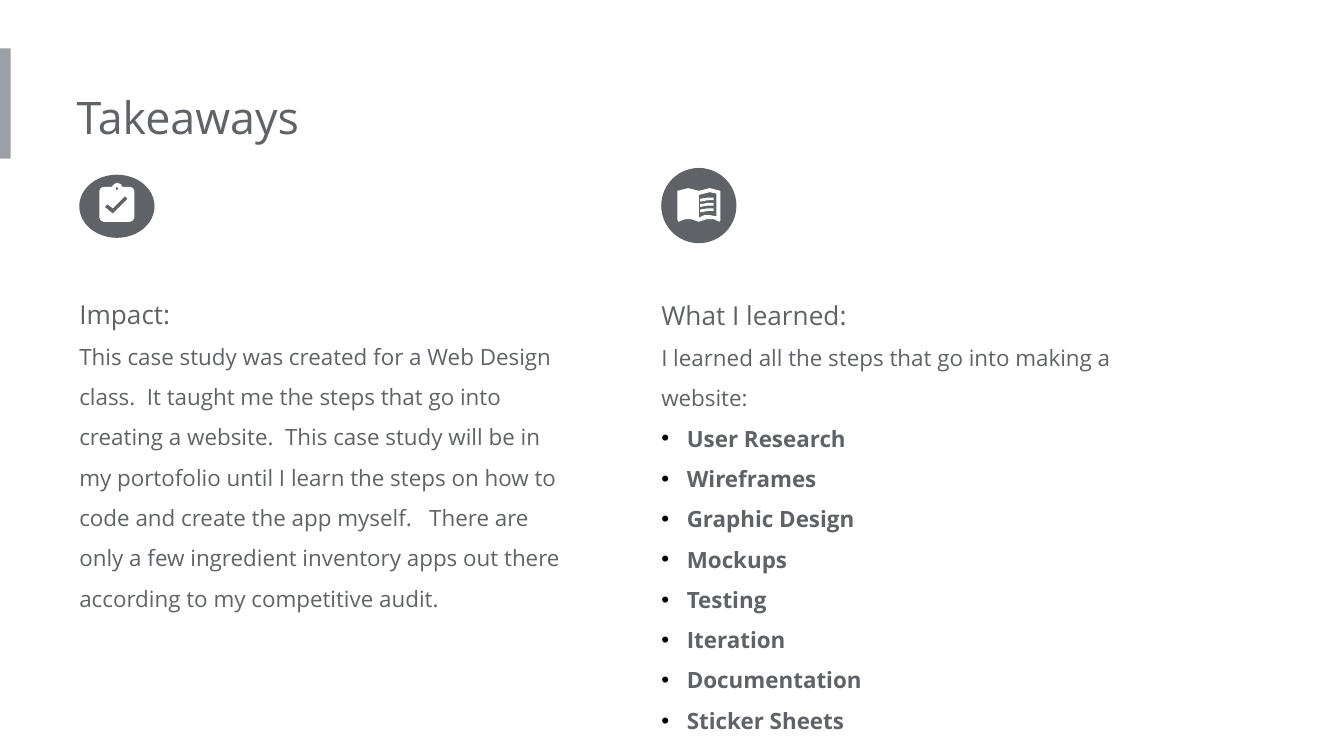
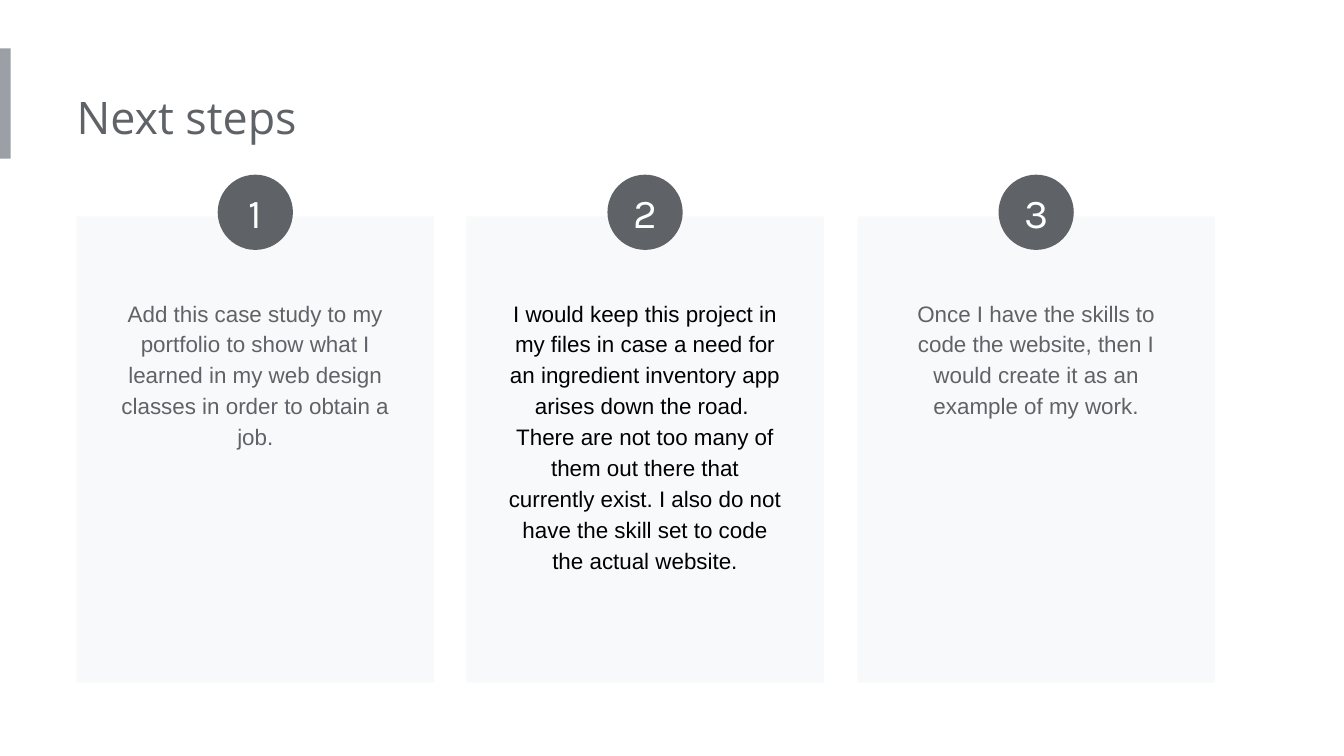
from pptx import Presentation
from pptx import util as u
from pptx.dml.color import RGBColor
from pptx.enum import shapes, text
from pptx.oxml import parse_xml
from pptx.oxml.ns import nsdecls

PX = 9144  # EMU; 100 px to the inch
GREY = RGBColor(0x5F, 0x63, 0x68)
BAND = RGBColor(0x9A, 0xA0, 0xA6)
PALE = RGBColor(0xF8, 0xF9, 0xFA)
WHITE = RGBColor(0xFF, 0xFF, 0xFF)
BLACK = RGBColor(0, 0, 0)

RECT, OVAL = shapes.MSO_SHAPE.RECTANGLE, shapes.MSO_SHAPE.OVAL
LEFT, MID = text.PP_ALIGN.LEFT, text.PP_ALIGN.CENTER
GROW = text.MSO_AUTO_SIZE.SHAPE_TO_FIT_TEXT
INDENT = 19

HEAD = {"size": 24, "name": "Open Sans", "color": GREY}
LEAD = {"size": 14, "name": "Open Sans", "color": GREY}
BODY = {**LEAD, "size": 12}
ITEM = {**BODY, "bold": True}
CARD = {"size": 12, "name": "Arial", "color": GREY}
DIGIT = {"size": 22, "name": "Karla", "color": WHITE}

# Each column: text box, icon disc, heading, paragraph, list
COLUMNS = [
    ((59, 200, 377, 268), (59, 130, 56, 47), "Impact:",
     "This case study was created for a Web Design class.  It taught me the "
     "steps that go into creating a website.  This case study will be in my "
     "portofolio until I learn the steps on how to code and create the app "
     "myself.   There are only a few ingredient inventory apps out there "
     "according to my competitive audit.", []),
    ((492, 201, 377, 389), (492, 125, 56, 56), "What I learned:",
     "I learned all the steps that go into making a website:",
     ["User Research", "Wireframes", "Graphic Design", "Mockups", "Testing",
      "Iteration", "Documentation", "Sticker Sheets"]),
]

STEPS = [
    ("Add this case study to my portfolio to show what I learned in my web "
     "design classes in order to obtain a job.", GREY),
    ("I would keep this project in my files in case a need for an ingredient "
     "inventory app arises down the road.  There are not too many of them out "
     "there that currently exist. I also do not have the skill set to code "
     "the actual website.", BLACK),
    ("Once I have the skills to code the website, then I would create it as "
     "an example of my work.", GREY),
]

# Icon outlines: the first loop is the body, the others are cut out of it
CLIP = [
    [(97, 139), (91, 139), (90, 137), (87, 136), (85, 137), (83, 139),
     (77, 139), (75, 140), (74, 142), (74, 162), (75, 164), (77, 165),
     (97, 165), (99, 164), (100, 162), (100, 142), (99, 140)],
    [(87, 139), (88, 140), (87, 142), (86, 140)],
    [(84, 159), (78, 154), (80, 152), (84, 155), (93, 146), (95, 148)],
]
BOOK = [
    [(512, 140), (508, 141), (504, 142), (504, 164), (505, 165), (510, 163),
     (514, 163), (520, 165), (526, 163), (531, 163), (535, 165), (536, 164),
     (536, 142), (532, 141), (528, 140), (524, 141), (520, 142), (516, 141)],
    [(528, 143), (533, 144), (533, 161), (528, 160), (524, 160), (520, 162),
     (520, 145), (524, 144)],
]
RULES = [[[(527, y), (521, y + 1), (521, y + 3), (527, y + 2), (531, y + 2),
           (531, y)]] for y in (147, 151, 155)]


def px(box):
    return [u.Emu(n * PX) for n in box]


def paint(shape, color):
    shape.shadow.inherit = False
    shape.fill.solid()
    shape.fill.fore_color.rgb = color
    shape.line.fill.background()
    return shape


def add(slide, kind, box, color):
    return paint(slide.shapes.add_shape(kind, *px(box)), color)


def draw(slide, loops):
    """Add a white icon made of closed loops."""
    pen = slide.shapes.build_freeform(*loops[0][0], scale=PX)
    pen.add_line_segments(loops[0][1:])
    for loop in loops[1:]:
        pen.move_to(*loop[0])
        pen.add_line_segments(loop[1:])
    paint(pen.convert_to_shape(), WHITE)


def place(shape, box):
    for key, val in zip(("left", "top", "width", "height"), px(box)):
        setattr(shape, key, val)


def frame(shape, inset, **form):
    """Set up the text frame; inset is left, top, right, bottom."""
    body = shape.text_frame
    sides = ("left", "top", "right", "bottom")
    form.update({f"margin_{s}": n for s, n in zip(sides, px(inset))})
    for key, val in {"word_wrap": True, **form}.items():
        setattr(body, key, val)
    return body


def write(para, words, font, align=LEFT, gap=1.0):
    form = {"alignment": align, "line_spacing": gap,
            "space_before": u.Pt(0), "space_after": u.Pt(0)}
    for key, val in form.items():
        setattr(para, key, val)
    run = para.add_run()
    run.text = words
    for key, val in font.items():
        if key == "color":
            run.font.color.rgb = val
        else:
            setattr(run.font, key, u.Pt(val) if key == "size" else val)


def bullet(para, on):
    """Give the paragraph a black dot, or take its bullet away."""
    props = para._p.get_or_add_pPr()
    step = INDENT * PX if on else 0
    props.set("marL", str(step))
    props.set("indent", str(-step))
    ns = nsdecls("a")
    marks = [f'<a:buClr {ns}><a:srgbClr val="{BLACK}"/></a:buClr>',
             f'<a:buChar {ns} char="•"/>'] if on else [f"<a:buNone {ns}/>"]
    for mark in marks:
        props.append(parse_xml(mark))


def start(deck, layout, title):
    slide = deck.slides.add_slide(deck.slide_layouts[layout])
    head = slide.shapes.title
    place(head, (57, 57, 539, 61))
    body = frame(head, (0, 10, 10, 10), auto_size=GROW,
                 vertical_anchor=text.MSO_ANCHOR.TOP)
    write(body.paragraphs[0], title, HEAD)
    return slide


def band(deck, slide):
    """Put the side band on the master, so every slide shows it."""
    bar = add(slide, RECT, (0, 36, 8, 82), BAND).element
    bar.xpath("./p:nvSpPr/p:cNvPr")[0].set("id", "20")
    deck.slide_master.shapes.element.append(bar)


def takeaways(deck):
    slide = start(deck, 3, "Takeaways")
    for n, (box, disc, lead, words, items) in enumerate(COLUMNS, 1):
        hold = slide.placeholders[n]
        place(hold, box)
        body = frame(hold, (0, 10, 10, 10), auto_size=GROW)
        lines = [(lead, LEAD), (words, BODY)] + [(i, ITEM) for i in items]
        for k, (line, font) in enumerate(lines):
            para = body.add_paragraph() if k else body.paragraphs[0]
            write(para, line, font, gap=1.5)
            bullet(para, font is ITEM)
        add(slide, OVAL, disc, GREY)
    for icon in [CLIP, BOOK, *RULES]:
        draw(slide, icon)
    return slide


def steps(deck):
    slide = start(deck, 5, "Next steps")
    first, last, wide, disc, inner = 57, 904, 266, 56, 224
    for n, (words, color) in enumerate(STEPS):
        left = first + n * (last - first - wide) // (len(STEPS) - 1)
        add(slide, RECT, (left, 161, wide, 347), PALE)
        note = slide.shapes.add_textbox(
            *px((left + (wide - inner) // 2, 210, inner, 136)))
        body = frame(note, (10, 10, 10, 10), auto_size=GROW)
        write(body.paragraphs[0], words, {**CARD, "color": color}, MID, 1.15)
        dot = add(slide, OVAL, (left + (wide - disc) // 2, 130, disc, disc),
                  GREY)
        body = frame(dot, (0, 0, 0, 0),
                     vertical_anchor=text.MSO_ANCHOR.MIDDLE)
        write(body.paragraphs[0], str(n + 1), DIGIT, MID)


def main():
    deck = Presentation()
    deck.slide_width = u.Emu(1000 * PX)
    deck.slide_height = u.Emu(1000 * PX * 9 // 16)
    band(deck, takeaways(deck))
    steps(deck)
    deck.save("out.pptx")


if __name__ == "__main__":
    main()
